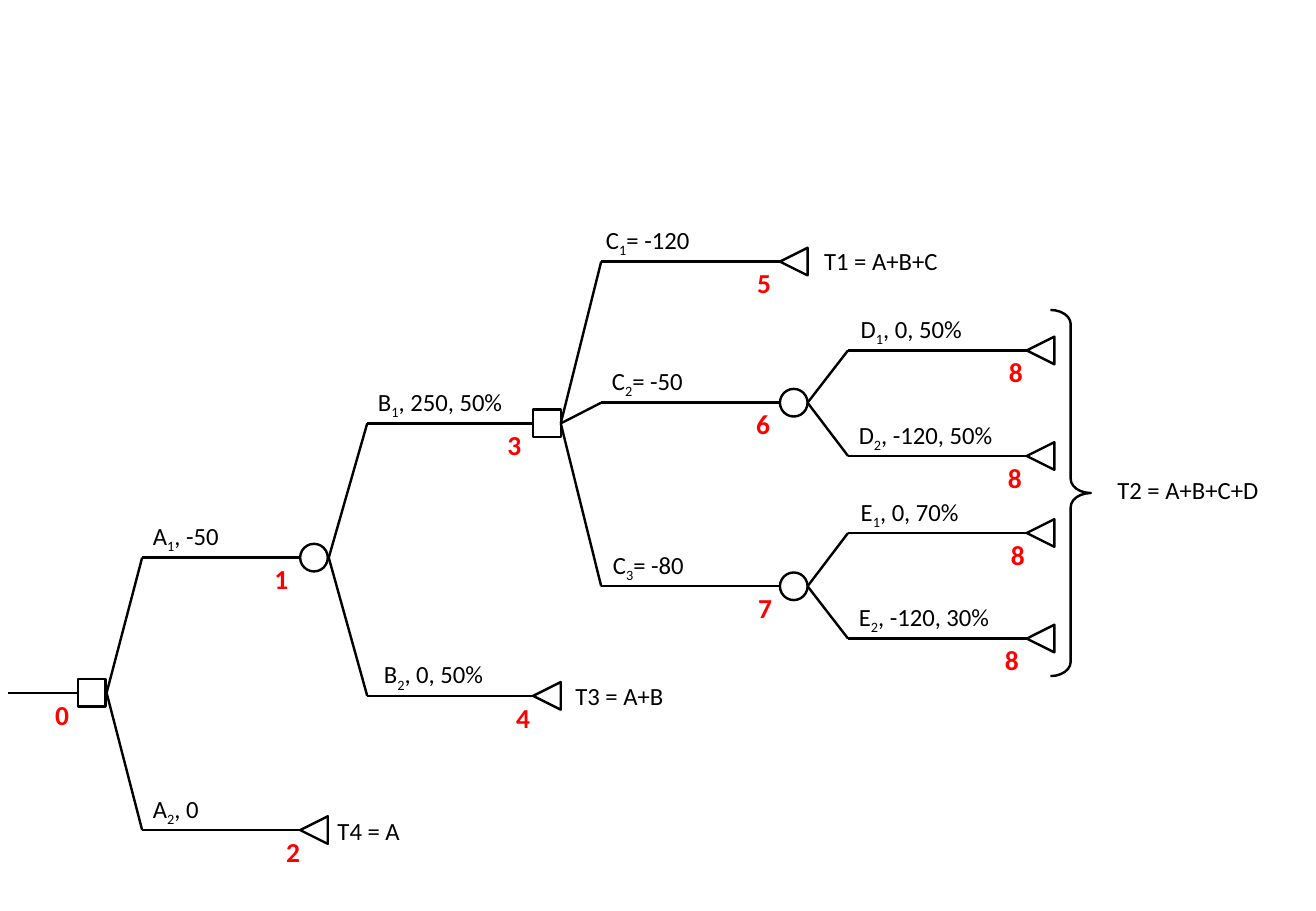
from lxml import etree
from pptx import Presentation, util as u
from pptx.dml.color import RGBColor
from pptx.enum import shapes, text
from pptx.oxml.ns import qn

THEME = dict(font="Calibri", ink="000000", paper="FFFFFF", accent="FF0000",
             label=18, number=20, line=1.75)
SIZE = (13.33, 9.23)
NODE = 0.28
LABEL_H, NUMBER_W, NUMBER_H = 0.4, 0.34, 0.44
LABEL_RISE = 0.42
ROOT = dict(x=0.79, y=7.02, start=0.08, number_dx=-0.33)
COLUMNS = [(1.08, 1.44, 3.04), (3.33, 3.72, 5.4),
           (5.68, 6.09, 7.9), (8.18, 8.59, 10.4)]

# name: parent, column, y, kind, rest of label, label dx, label width, number, number dx
BRANCHES = {
    "A1": ("", 0, 5.65, "chance", ", -50", 0.01, 0.89, "1", -0.36),
    "A2": ("", 0, 8.41, "end", ", 0", 0.01, 0.68, "2", -0.24),
    "B1": ("A1", 1, 4.29, "choice", ", 250, 50%", 0.01, 1.49, "3", -0.36),
    "B2": ("A1", 1, 7.05, "end", ", 0, 50%", 0.07, 1.23, "4", -0.27),
    "C1": ("B1", 2, 2.65, "end", "= -120", -0.05, 1.07, "5", -0.33),
    "C2": ("B1", 2, 4.08, "chance", "= -50", 0.01, 0.94, "6", -0.34),
    "C3": ("B1", 2, 5.94, "chance", "= -80", 0.02, 0.94, "7", -0.32),
    "D1": ("C2", 3, 3.55, "end", ", 0, 50%", 0.03, 1.25, "8", -0.28),
    "D2": ("C2", 3, 4.62, "end", ", -120, 50%", 0.01, 1.58, "8", -0.29),
    "E1": ("C3", 3, 5.4, "end", ", 0, 70%", 0.03, 1.22, "8", -0.26),
    "E2": ("C3", 3, 6.47, "end", ", -120, 30%", 0.01, 1.55, "8", -0.32),
}
PAYOFFS = [("T1 = A+B+C", 8.25, 2.44, 1.36), ("T2 = A+B+C+D", 11.22, 4.76, 1.65),
           ("T3 = A+B", 5.73, 6.85, 1.1), ("T4 = A", 3.32, 8.22, 0.85)]
BRACE = (10.64, 3.14, 0.41, 3.71)
KINDS = {"choice": (shapes.MSO_SHAPE.RECTANGLE, 0),
         "chance": (shapes.MSO_SHAPE.OVAL, 0),
         "end": (shapes.MSO_SHAPE.ISOSCELES_TRIANGLE, 270)}

prs = Presentation()
prs.slide_width, prs.slide_height = map(u.Inches, SIZE)
s = prs.slides.add_slide(prs.slide_layouts[6])


def color(name):
    return RGBColor.from_string(THEME[name])


def stroke(sp):
    sp.line.color.rgb = color("ink")
    sp.line.width = u.Pt(THEME["line"])


def add_line(*ends):
    sp = s.shapes.add_connector(shapes.MSO_CONNECTOR.STRAIGHT, *map(u.Inches, ends))
    stroke(sp)
    etree.SubElement(sp._element.spPr, qn("a:effectLst"))


def add_outline(kind, *box):
    sp = s.shapes.add_shape(kind, *map(u.Inches, box))
    sp.shadow.inherit = False
    stroke(sp)
    return sp


def add_node(kind, x, y):
    preset, turn = KINDS[kind]
    sp = add_outline(preset, x, y - NODE / 2, NODE, NODE)
    sp.rotation = turn
    sp.fill.solid()
    sp.fill.fore_color.rgb = color("paper")


def add_text(runs, box, size="label", ink="ink", bold=False):
    tf = s.shapes.add_textbox(*map(u.Inches, box)).text_frame
    tf.word_wrap = False
    tf.auto_size = text.MSO_AUTO_SIZE.SHAPE_TO_FIT_TEXT
    p = tf.paragraphs[0]
    for words, baseline in runs:
        r = p.add_run()
        r.text = words
        r.font.name, r.font.size, r.font.bold = THEME["font"], u.Pt(THEME[size]), bold
        r.font.color.rgb = color(ink)
        if baseline:
            r.font._element.set("baseline", str(baseline))


def add_number(number, x, y):
    add_text([(number, 0)], (x, y, NUMBER_W, NUMBER_H), "number", "accent", True)


add_line(ROOT["start"], ROOT["y"], ROOT["x"], ROOT["y"])
add_node("choice", ROOT["x"], ROOT["y"])
add_number("0", ROOT["x"] + ROOT["number_dx"], ROOT["y"])

for name, (parent, col, y, kind, rest, dx, width, number, number_dx) in BRANCHES.items():
    fork, elbow, end = COLUMNS[col]
    fork_y = BRANCHES[parent][2] if parent else ROOT["y"]
    add_line(fork, fork_y, elbow, y)
    add_line(elbow, y, end, y)
    add_node(kind, end, y)
    add_text([(name[0], 0), (name[1], -25000), (rest, 0)],
             (elbow + dx, y - LABEL_RISE, width, LABEL_H))
    add_number(number, end + number_dx, y)

for words, x, y, width in PAYOFFS:
    add_text([(words, 0)], (x, y, width, LABEL_H))

brace = add_outline(shapes.MSO_SHAPE.RIGHT_BRACE, *BRACE)
brace.fill.background()
brace.adjustments[0] = 0.35
prs.save("out.pptx")
